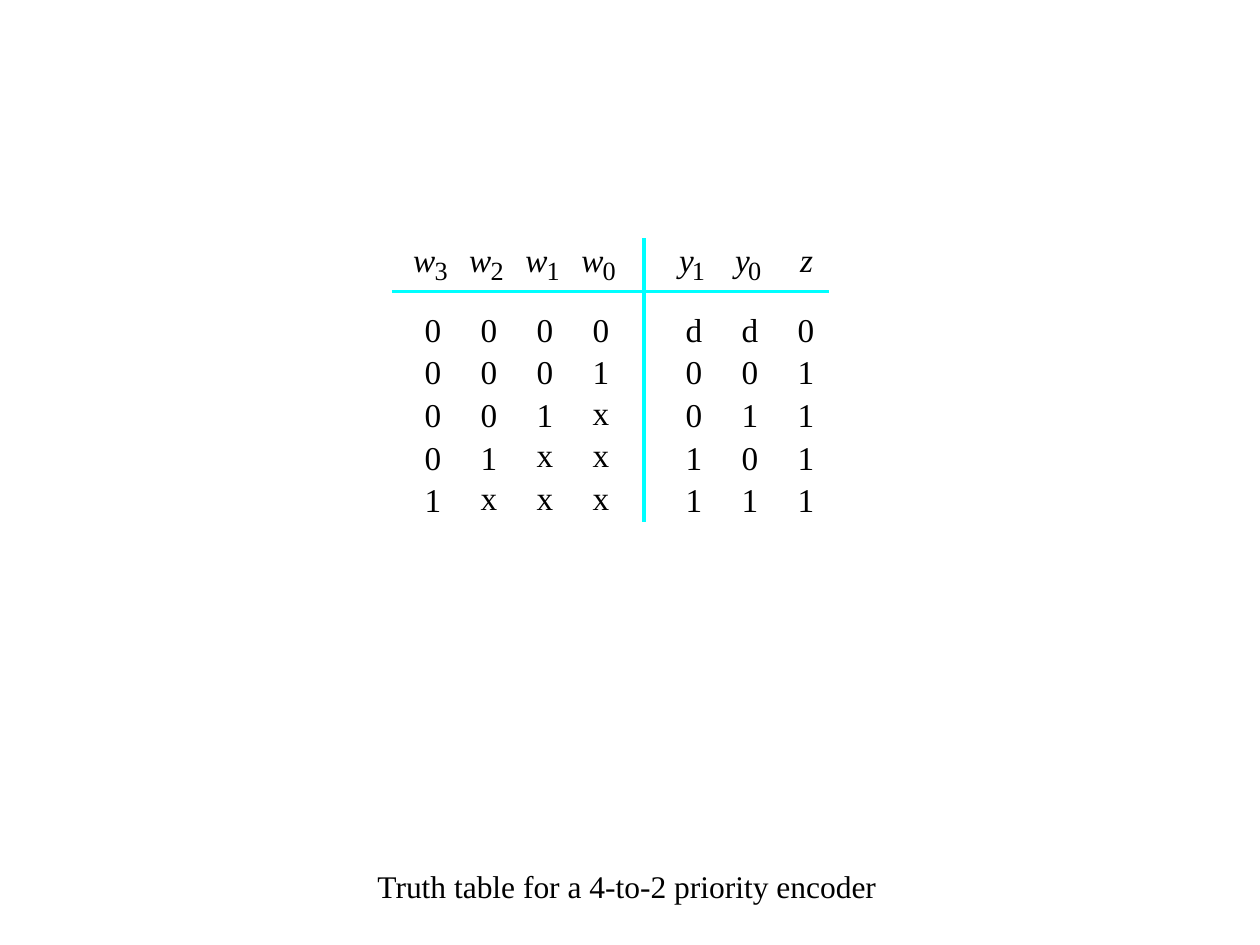
from lxml import etree
from pptx import Presentation
from pptx.dml.color import RGBColor
from pptx.enum.shapes import MSO_CONNECTOR
from pptx.enum.text import MSO_ANCHOR, MSO_AUTO_SIZE, PP_ALIGN
from pptx.oxml.ns import qn
from pptx.util import Cm, Pt

STRAIGHT = MSO_CONNECTOR.STRAIGHT
TOP = MSO_ANCHOR.TOP
NO_FIT, GROW = MSO_AUTO_SIZE.NONE, MSO_AUTO_SIZE.SHAPE_TO_FIT_TEXT
LEFT, CENTER = PP_ALIGN.LEFT, PP_ALIGN.CENTER

COLORS = {"text": "000000", "rule": "00FFFF"}
FONT = "Times New Roman"
SYMBOL_SIZE, SUBSCRIPT_SIZE, CAPTION_SIZE = 19, 15, 18

# Lengths in centimetres
COLUMN_STEP, ROW_STEP = 1.13, 0.86
INPUT_LEFT, OUTPUT_LEFT = 8.56, 13.82
FIRST_ROW_TOP, HEADER_TOP, SUBSCRIPT_TOP = 6.23, 4.83, 5.13
X_RAISE = 0.05
SYMBOL_HEIGHT, SUBSCRIPT_HEIGHT = 0.81, 0.64
SYMBOL_WIDTHS = {"0": 0.38, "1": 0.38, "d": 0.41, "x": 0.36,
                 "w": 0.48, "y": 0.3, "z": 0.3}
SUBSCRIPT_WIDTH = 0.3
# Offsets of a header letter and its subscript from the column's left edge
HEADER_OFFSETS = {"w": (-0.23, 0.2), "y": (-0.13, 0.13), "z": (0.05, 0)}

HEADERS = ["w3", "w2", "w1", "w0", "y1", "y0", "z"]
ROWS = ["0000dd0", "0001001", "001x011", "01xx101", "1xxx111"]
column_lefts = [INPUT_LEFT + i * COLUMN_STEP for i in range(4)]
column_lefts += [OUTPUT_LEFT + i * COLUMN_STEP for i in range(3)]


def write_line(frame, text, size, align, italic=False):
    """Fill a text frame with one formatted line."""
    frame.text = text
    paragraph = frame.paragraphs[0]
    paragraph.alignment = align
    font = paragraph.runs[0].font
    font.name = FONT
    font.size = Pt(size)
    font.italic = italic
    font.color.rgb = RGBColor.from_string(COLORS["text"])


def add_symbol(left, top, width, height, text, size=SYMBOL_SIZE, italic=False):
    """Place one table symbol in a text box without margins."""
    box = page.shapes.add_textbox(Cm(left), Cm(top), Cm(width), Cm(height))
    frame = box.text_frame
    frame.margin_left = frame.margin_right = 0
    frame.margin_top = frame.margin_bottom = 0
    frame.word_wrap = False
    frame.auto_size = GROW
    write_line(frame, text, size, LEFT, italic)


deck = Presentation()
deck.slide_width, deck.slide_height = Cm(25.4), Cm(19.05)
page = deck.slides.add_slide(deck.slide_layouts[5])

# Caption
caption = page.shapes.title
caption.left, caption.top = Cm(2.62), Cm(17.35)
caption.width, caption.height = Cm(20.04), Cm(1.27)
caption.text_frame.vertical_anchor = TOP
caption.text_frame.auto_size = NO_FIT
write_line(caption.text_frame, "Truth table for a 4-to-2 priority encoder",
           CAPTION_SIZE, CENTER)

# Rules below the header and between inputs and outputs
for x1, y1, x2, y2 in [(7.9, 5.87, 16.71, 5.87), (12.98, 10.52, 12.98, 4.8)]:
    rule = page.shapes.add_connector(STRAIGHT, Cm(x1), Cm(y1), Cm(x2), Cm(y2))
    rule.line.color.rgb = RGBColor.from_string(COLORS["rule"])
    rule.line.width = Pt(1.87)
    etree.SubElement(rule._element.spPr, qn("a:effectLst"))

# Variable names
for name, left in zip(HEADERS, column_lefts):
    letter, subscript = name[0], name[1:]
    letter_offset, subscript_offset = HEADER_OFFSETS[letter]
    add_symbol(left + letter_offset, HEADER_TOP, SYMBOL_WIDTHS[letter],
               SYMBOL_HEIGHT, letter, italic=True)
    if subscript:
        add_symbol(left + subscript_offset, SUBSCRIPT_TOP, SUBSCRIPT_WIDTH,
                   SUBSCRIPT_HEIGHT, subscript, SUBSCRIPT_SIZE)

# Values
for i, row in enumerate(ROWS):
    for value, left in zip(row, column_lefts):
        top = FIRST_ROW_TOP + i * ROW_STEP
        if value == "x":
            top -= X_RAISE
        add_symbol(left, top, SYMBOL_WIDTHS[value], SYMBOL_HEIGHT, value)

deck.save("out.pptx")
